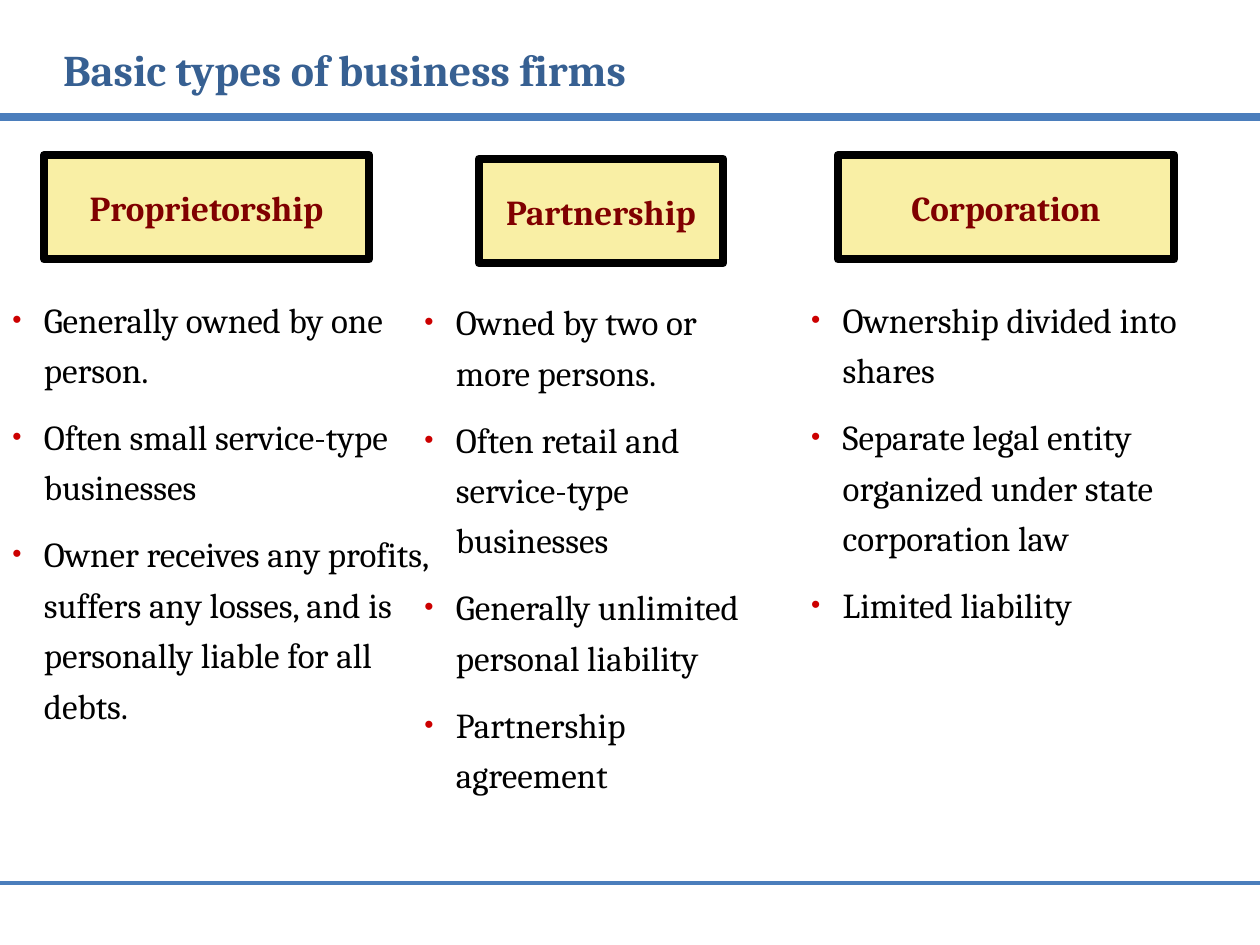
import pptx
import pptx.util
import pptx.dml.color
import pptx.enum.shapes
import pptx.enum.text
import pptx.oxml.ns
from lxml import etree

Pt = pptx.util.Pt
RGB = pptx.dml.color.RGBColor.from_string
ALIGN = pptx.enum.text.PP_ALIGN
ANCHOR = pptx.enum.text.MSO_ANCHOR
qn = pptx.oxml.ns.qn

THEME = {
    "font": "Cambria",
    "title": "376092", "rule": "4B7EBC",
    "box": "F9EFA5", "border": "000000", "heading": "800000",
    "body": "000000", "bullet": "CC0000",
    "title_size": 25, "text_size": 20,
}

prs = pptx.Presentation()
prs.slide_width = pptx.util.Inches(10)
prs.slide_height = pptx.util.Inches(7.5)
COL = prs.slide_width / 100   # grid of 100 columns
ROW = prs.slide_height / 75   # by 75 rows
s = prs.slides.add_slide(prs.slide_layouts[5])


def cells(left, top, width, height):
    return [round(v) for v in (left * COL, top * ROW, width * COL, height * ROW)]


def style(p, size, color, bold=False):
    for r in p.runs:
        r.font.name = THEME["font"]
        r.font.size = Pt(size)
        r.font.bold = bold
        r.font.color.rgb = RGB(color)


# Rules under the title and above the footer
for row, weight in ((9.3, 4.5), (70.1, 2.25)):
    y = round(row * ROW)
    rule = s.shapes.add_connector(
        pptx.enum.shapes.MSO_CONNECTOR.STRAIGHT, 0, y, prs.slide_width, y)
    rule.line.color.rgb = RGB(THEME["rule"])
    rule.line.width = Pt(weight)
    etree.SubElement(rule._element.spPr, qn("a:effectLst"))

# Title
title = s.shapes.title
title.left, title.top, title.width, title.height = cells(4, 2.9, 49.7, 5.2)
tf = title.text_frame
tf.text = "Basic types of business firms"
tf.vertical_anchor = ANCHOR.TOP
tf.auto_size = pptx.enum.text.MSO_AUTO_SIZE.NONE
tf.paragraphs[0].alignment = ALIGN.LEFT
style(tf.paragraphs[0], THEME["title_size"], THEME["title"], bold=True)

# Firm types: heading, heading cells, list cells, points
firms = [
    ("Proprietorship", (3.5, 12.3, 25.8, 8.3), (0, 21.8, 35.6, 43.3), [
        "Generally owned by one person.",
        "Often small service-type businesses",
        "Owner receives any profits, suffers any losses, "
        "and is personally liable for all debts."]),
    ("Partnership", (38, 12.6, 19.4, 8.3), (32.7, 22, 29.9, 43.1), [
        "Owned by two or more persons.",
        "Often retail and service-type businesses",
        "Generally unlimited personal liability",
        "Partnership agreement"]),
    ("Corporation", (66.5, 12.3, 26.7, 8.3), (63.4, 21.8, 36.6, 36.2), [
        "Ownership divided into shares",
        "Separate legal entity organized under state corporation law",
        "Limited liability"]),
]

for heading, box_cells, list_cells, points in firms:
    # Heading box
    sp = s.shapes.add_shape(
        pptx.enum.shapes.MSO_SHAPE.RECTANGLE, *cells(*box_cells))
    sp.shadow.inherit = False
    sp.fill.solid()
    sp.fill.fore_color.rgb = RGB(THEME["box"])
    sp.line.color.rgb = RGB(THEME["border"])
    sp.line.width = Pt(4.5)
    tf = sp.text_frame
    tf.text = heading
    tf.vertical_anchor = ANCHOR.MIDDLE
    tf.paragraphs[0].alignment = ALIGN.CENTER
    style(tf.paragraphs[0], THEME["text_size"], THEME["heading"], bold=True)

    # Bulleted list
    tf = s.shapes.add_textbox(*cells(*list_cells)).text_frame
    tf.word_wrap = True
    tf.margin_top = pptx.util.Inches(0.12)
    for i, point in enumerate(points):
        p = tf.paragraphs[0] if i == 0 else tf.add_paragraph()
        p.text = point
        p.line_spacing = 1.2
        if i > 0:
            p.space_before = Pt(9.5)
        pPr = p._p.get_or_add_pPr()
        indent = pptx.util.Inches(0.25)
        pPr.set("marL", str(indent))
        pPr.set("indent", str(-indent))
        color = etree.SubElement(pPr, qn("a:buClr"))
        etree.SubElement(color, qn("a:srgbClr"), val=THEME["bullet"])
        etree.SubElement(pPr, qn("a:buSzPct"), val="75000")
        etree.SubElement(pPr, qn("a:buFont"), typeface="Arial")
        etree.SubElement(pPr, qn("a:buChar"), char="•")
        style(p, THEME["text_size"], THEME["body"])

prs.save("out.pptx")
